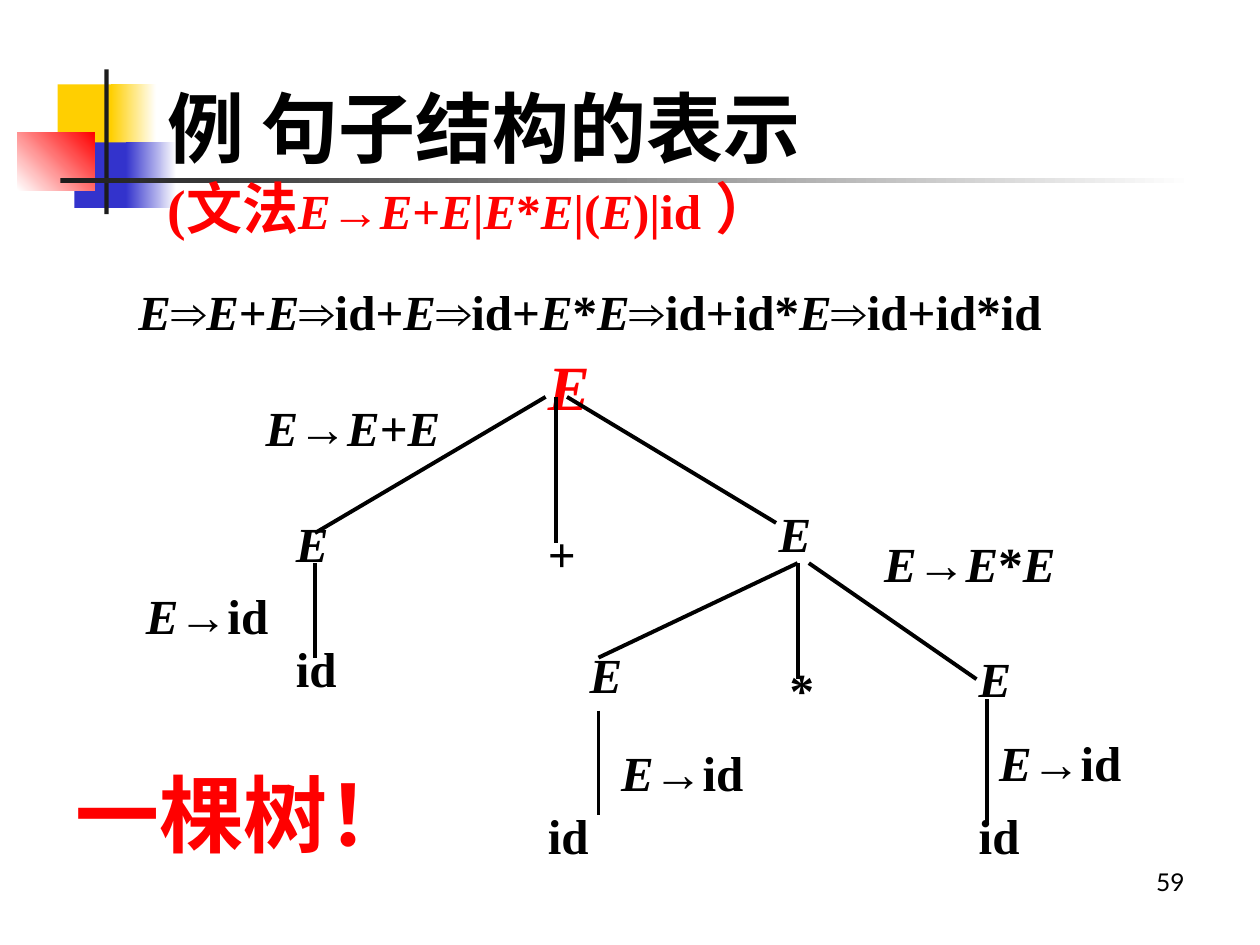
from dataclasses import dataclass
from itertools import groupby

from lxml import etree
from pptx import Presentation
from pptx.dml.color import RGBColor
from pptx.enum import shapes, text
from pptx.oxml import ns
from pptx.util import Pt


@dataclass(frozen=True)
class Theme:
    black: str = "000000"
    red: str = "FF0000"
    yellow: str = "FFCF01"
    blue: str = "3333CC"
    dark: str = "1C1C1C"
    white: str = "FFFFFF"
    serif: str = "Times New Roman"
    symbol: str = "Arial"
    number: str = "Lato"
    title: float = 44
    grammar: float = 32
    body: float = 28
    root: float = 36
    remark: float = 48
    page: float = 14
    spacing: float = 1.1
    line: float = 2.25


T = Theme()
NODE_W, NODE_H = 90, 44


def rgb(value):
    return RGBColor.from_string(value)


def add_runs(p, content, size, color=T.black):
    """Add bold runs with the nonterminal E in italics and ⇒ in the symbol font."""
    for kind, chars in groupby(content, lambda c: c if c in "E⇒" else ""):
        r = p.add_run()
        r.text = "".join(chars)
        r.font.name = T.symbol if kind == "⇒" else T.serif
        r.font.size = Pt(size)
        r.font.bold = True
        r.font.italic = kind == "E"
        r.font.color.rgb = rgb(color)


def add_box(s, x, y, w, h):
    tf = s.shapes.add_textbox(Pt(x), Pt(y), Pt(w), Pt(h)).text_frame
    tf.word_wrap = True
    return tf


def add_label(s, x, y, w, h, content, size=T.body, color=T.black):
    p = add_box(s, x, y, w, h).paragraphs[0]
    p.line_spacing = T.spacing
    add_runs(p, content, size, color)


def add_block(s, x, y, w, h, start, end=None, angle=0):
    """Add a borderless rectangle, solid or fading from start to end."""
    sp = s.shapes.add_shape(shapes.MSO_SHAPE.RECTANGLE, Pt(x), Pt(y), Pt(w), Pt(h))
    sp.shadow.inherit = False
    sp.line.fill.background()
    if end is None:
        sp.fill.solid()
        sp.fill.fore_color.rgb = rgb(start)
        return
    sp.fill.gradient()
    sp.fill.gradient_angle = angle
    for stop, color, position in zip(sp.fill.gradient_stops, (start, end), (0, 1)):
        stop.color.rgb = rgb(color)
        stop.position = position


def add_branch(s, x1, y1, x2, y2):
    c = s.shapes.add_connector(
        shapes.MSO_CONNECTOR.STRAIGHT, Pt(x1), Pt(y1), Pt(x2), Pt(y2))
    c.line.color.rgb = rgb(T.black)
    c.line.width = Pt(T.line)
    etree.SubElement(c.element.spPr, ns.qn("a:effectLst"))


def add_ornament(s, x, y):
    for block in (
        (23, 8.6, 34.6, 37.4, T.yellow),
        (53.4, 8.6, 25.9, 37.4, T.yellow, T.white),
        (32.5, 41.8, 33.1, 37.4, T.blue),
        (62, 41.8, 28.8, 37.4, T.blue, T.white),
        (0, 36, 44, 33.1, T.white, T.red, 45),
        (49.7, 0, 2.4, 82.8, T.dark),
        (24.5, 62.3, 648, 2.9, T.dark, T.white),
    ):
        add_block(s, x + block[0], y + block[1], *block[2:])


def add_title(s, x, y, w, h):
    tf = add_box(s, x, y, w, h)
    tf.vertical_anchor = text.MSO_ANCHOR.MIDDLE
    p = tf.paragraphs[0]
    add_runs(p, "例 句子结构的表示", T.title)
    p.add_line_break()
    add_runs(p, "(文法", T.grammar, T.red)
    add_runs(p, "E→E+E|E*E|(E)|id", T.body, T.red)
    add_runs(p, " ）", T.grammar, T.red)


def add_parse_tree(s, x, y):
    add_label(s, x + 230, y + 0.8, NODE_W, 55, "E", T.root, T.red)

    nodes = (
        ("E", 86, 96.6), ("+", 230, 102.3), ("E", 361.8, 90.8),
        ("id", 86, 167.8),
        ("E", 253.8, 171.4), ("*", 368.2, 180.1), ("E", 476.2, 173.6),
        ("id", 230, 263.6), ("id", 476.2, 263.6),
    )
    for content, dx, dy in nodes:
        add_label(s, x + dx, y + dy, NODE_W, NODE_H, content)

    productions = (
        ("E→E+E", 68.7, 30.3, 125), ("E→E*E", 422.2, 108.1, 114),
        ("E→id", 0.3, 137.6, 97), ("E→id", 271.8, 227.6, 97),
        ("E→id", 487.8, 221.8, 97),
    )
    for content, dx, dy, w in productions:
        add_label(s, x + dx, y + dy, w, NODE_H, content)

    branches = (
        (235.8, 36.8, 104, 114.6), (241.5, 36.8, 241.5, 120.3),
        (248, 36.8, 367.5, 108.8),
        (104, 131.8, 104, 185.8),
        (379.8, 131.8, 266, 185.8), (379.8, 131.8, 379.8, 198.1),
        (386.2, 131.8, 482, 198.1),
        (266, 216.1, 266, 275.8), (487.8, 209.6, 487.8, 281.6),
    )
    for x1, y1, x2, y2 in branches:
        add_branch(s, x + x1, y + y1, x + x2, y + y2)


def add_page_number(s, x, y, w, h):
    p = add_box(s, x, y, w, h).paragraphs[0]
    p.text = "59"
    p.alignment = text.PP_ALIGN.RIGHT
    font = p.runs[0].font
    font.name = T.number
    font.size = Pt(T.page)
    font.color.rgb = rgb(T.black)


def main():
    prs = Presentation()
    prs.slide_width, prs.slide_height = Pt(720), Pt(540)
    s = prs.slides.add_slide(prs.slide_layouts[6])
    add_ornament(s, 10, 39.6)
    add_page_number(s, 516, 492, 168, 37)
    add_title(s, 88.6, 49.7, 498, 84.2)
    add_label(s, 72, 154, 594, NODE_H, "E⇒E+E⇒id+E⇒id+E*E⇒id+id*E⇒id+id*id")
    add_parse_tree(s, 76, 190)
    add_label(s, 36, 426.2, 216, 70.6, "一棵树！", T.remark, T.red)
    prs.save("out.pptx")


if __name__ == "__main__":
    main()
